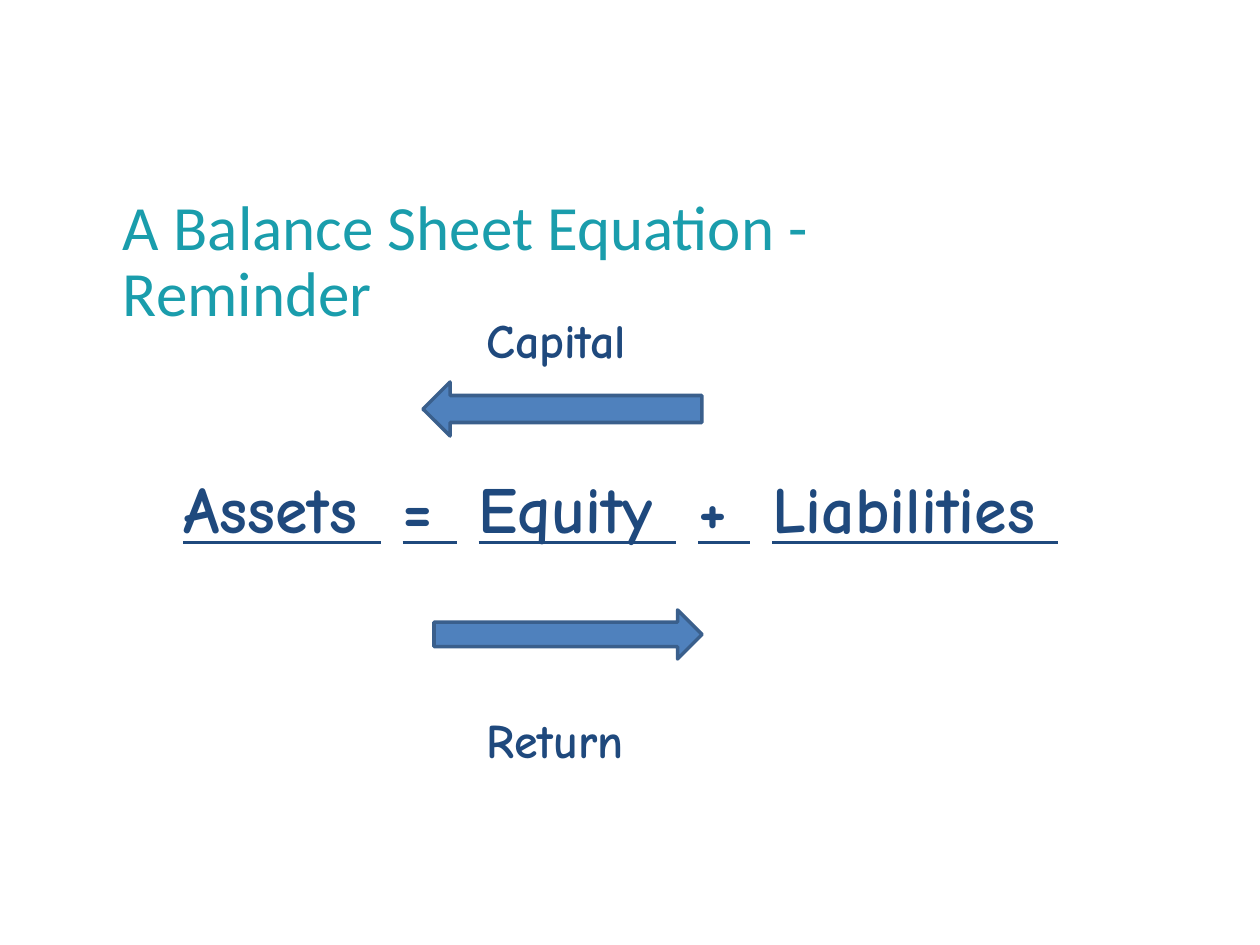
from dataclasses import dataclass

from pptx import Presentation
from pptx.dml.color import RGBColor as Rgb
from pptx.enum.shapes import MSO_SHAPE as Kind
from pptx.enum.text import MSO_AUTO_SIZE as Fit, PP_ALIGN as Align
from pptx.slide import Slide
from pptx.util import Emu, Pt

SCALE = 914400 / 126


@dataclass(frozen=True)
class Theme:
    teal: str = "1A9DAC"
    navy: str = "1F497D"
    blue: str = "4F81BD"
    edge: str = "3A5F8C"
    sans: str = "Calibri"
    comic: str = "Comic Neue"
    title: float = 36
    label: float = 27.4
    sum: float = 37.6
    gap: float = 12.5


@dataclass(frozen=True)
class Box:
    left: int
    top: int
    width: int
    height: int

    def emu(self) -> list[Emu]:
        sides = (self.left, self.top, self.width, self.height)
        return [Emu(round(side * SCALE)) for side in sides]


@dataclass(frozen=True)
class Flow:
    name: str
    label: Box
    arrow: Box
    turn: int


THEME = Theme()
FLOWS = [
    Flow("Capital", Box(474, 304, 176, 129), Box(423, 382, 279, 54), 180),
    Flow("Return", Box(474, 704, 189, 71), Box(434, 610, 268, 49), 0),
]


def add_text(slide: Slide, box: Box, text: str, *, size: float,
             color: str = THEME.navy, face: str = THEME.comic,
             bold: bool = True, line: bool = False, gap: float = 0,
             align: Align = Align.LEFT, lead: float | None = None,
             inset: bool = True, fit: Fit = Fit.NONE) -> None:
    frame = slide.shapes.add_textbox(*box.emu()).text_frame
    frame.word_wrap = True
    frame.auto_size = fit
    if not inset:
        frame.margin_left = frame.margin_right = 0
        frame.margin_top = frame.margin_bottom = 0
    para = frame.paragraphs[0]
    para.alignment = align
    if lead:
        para.line_spacing = Pt(lead)
    parts = text.replace(" ", "| |").split("|") if gap else [text]
    for spot, part in enumerate(parts):
        if not part:
            continue
        run = para.add_run()
        run.text = part
        font = run.font
        font.name, font.size, font.bold = face, Pt(size), bold
        font.underline = line
        font.color.rgb = Rgb.from_string(color)
        if part == " " and any(parts[spot + 1:]):
            run._r.get_or_add_rPr().set("spc", str(round(gap * 100)))


def add_arrow(slide: Slide, box: Box, turn: int) -> None:
    arrow = slide.shapes.add_shape(Kind.RIGHT_ARROW, *box.emu())
    arrow.rotation = turn
    arrow.shadow.inherit = False
    arrow.fill.solid()
    arrow.fill.fore_color.rgb = Rgb.from_string(THEME.blue)
    arrow.line.color.rgb = Rgb.from_string(THEME.edge)
    arrow.line.width = Pt(2)


def main() -> None:
    deck = Presentation()
    deck.slide_width, deck.slide_height = Box(0, 0, 1260, 945).emu()[2:]
    slide = deck.slides.add_slide(deck.slide_layouts[6])
    add_text(slide, Box(123, 197, 919, 145),
             "A Balance Sheet Equation - Reminder", size=THEME.title,
             color=THEME.teal, face=THEME.sans, bold=False, lead=37.7,
             inset=False)
    add_text(slide, Box(30, 462, 1182, 121),
             "Assets = Equity + Liabilities ", size=THEME.sum, line=True,
             gap=THEME.gap, align=Align.CENTER)
    for flow in FLOWS:
        add_text(slide, flow.label, flow.name, size=THEME.label,
                 fit=Fit.SHAPE_TO_FIT_TEXT)
        add_arrow(slide, flow.arrow, flow.turn)
    deck.save("out.pptx")


if __name__ == "__main__":
    main()
